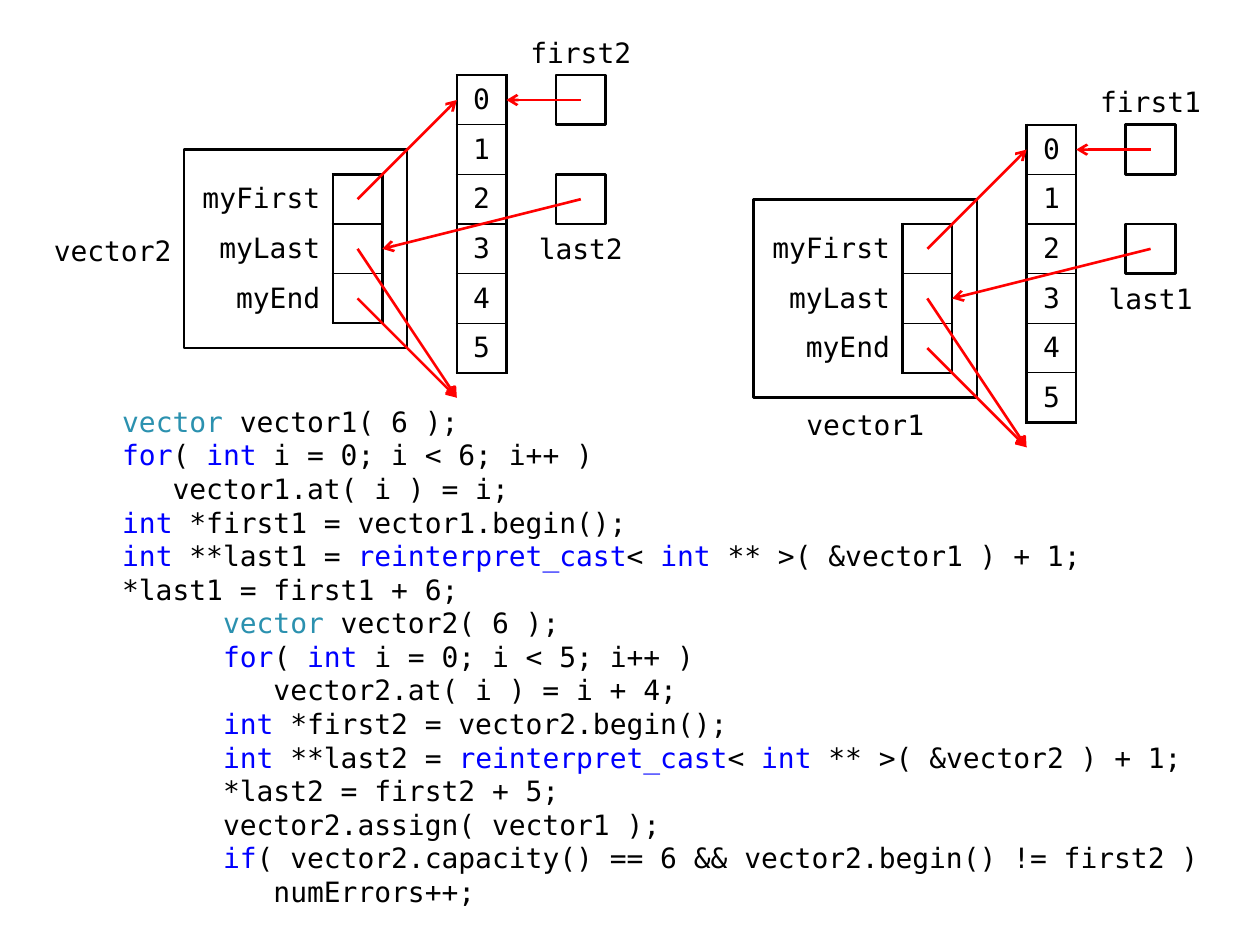
from dataclasses import dataclass
from itertools import groupby

from lxml import etree
from pptx import Presentation
from pptx import util as u
from pptx.dml.color import RGBColor
from pptx.enum import shapes, text
from pptx.oxml import ns

BLACK = RGBColor(0x00, 0x00, 0x00)
WHITE = RGBColor(0xFF, 0xFF, 0xFF)
RED = RGBColor(0xFF, 0x00, 0x00)
BLUE = RGBColor(0x00, 0x00, 0xFF)
TEAL = RGBColor(0x2B, 0x91, 0xAF)
TOKEN_COLORS = {"vector": TEAL} | dict.fromkeys(("for", "int", "reinterpret_cast", "if"), BLUE)

FONT = "DejaVu Sans Mono"
FONT_SIZE = 16
CELL = 28.35
THICK = 1.5
THIN = 0.75
PLAIN_TABLE_STYLE = "{2D5ABB26-0587-4C30-8999-92F81FD0307C}"
CENTER = text.PP_ALIGN.CENTER
RIGHT = text.PP_ALIGN.RIGHT
BOTTOM = text.MSO_ANCHOR.BOTTOM
MIDDLE = text.MSO_ANCHOR.MIDDLE

CODE = """\
   vector vector1( 6 );
   for( int i = 0; i < 6; i++ )
      vector1.at( i ) = i;
   int *first1 = vector1.begin();
   int **last1 = reinterpret_cast< int ** >( &vector1 ) + 1;
   *last1 = first1 + 6;
         vector vector2( 6 );
         for( int i = 0; i < 5; i++ )
            vector2.at( i ) = i + 4;
         int *first2 = vector2.begin();
         int **last2 = reinterpret_cast< int ** >( &vector2 ) + 1;
         *last2 = first2 + 5;
         vector2.assign( vector1 );
         if( vector2.capacity() == 6 && vector2.begin() != first2 )
            numErrors++;"""


@dataclass(frozen=True)
class Label:
    caption: str
    x: float
    y: float
    width: float
    align: int = CENTER
    anchor: int = BOTTOM
    side_margin: float = 7.2


@dataclass(frozen=True)
class Arrow:
    x1: float
    y1: float
    x2: float
    y2: float


@dataclass(frozen=True)
class Diagram:
    left: float
    top: float
    number: int
    name: Label

    def x(self, cells: float) -> u.Length:
        return u.Pt(self.left + cells * CELL)

    def y(self, cells: float) -> u.Length:
        return u.Pt(self.top + cells * CELL)


DIAGRAMS = (
    Diagram(430.7, 113.85, 1, Label("vector1", 0.5, 4, 3.5)),
    Diagram(105.1, 85.5, 2, Label("vector2", -3, 1.5, 3, RIGHT)),
)
ARROWS = (
    Arrow(3.5, 1, 5.5, -1),
    Arrow(3.5, 3, 5.5, 5),
    Arrow(3.5, 2, 5.5, 5),
    Arrow(8, -1, 6.5, -1),
    Arrow(8, 1, 4, 2),
)


def style_font(font, color: RGBColor = BLACK) -> None:
    font.name = FONT
    font.size = u.Pt(FONT_SIZE)
    font.color.rgb = color


def add_code(slide) -> None:
    shape = slide.shapes.add_textbox(u.Pt(33.9), u.Pt(227.5), u.Pt(666), u.Pt(297.5))
    frame = shape.text_frame
    frame.word_wrap = True
    for index, line in enumerate(CODE.splitlines()):
        paragraph = frame.paragraphs[0] if index == 0 else frame.add_paragraph()
        paragraph.line_spacing = u.Pt(19.2)
        tokens = ["".join(group) for _, group in groupby(line, lambda c: c.isalnum() or c == "_")]
        for color, group in groupby(tokens, lambda token: TOKEN_COLORS.get(token, BLACK)):
            run = paragraph.add_run()
            run.text = "".join(group)
            style_font(run.font, color)


def add_box(slide, diagram: Diagram, x: float, y: float, width: float, height: float,
            filled: bool = False) -> None:
    shape = slide.shapes.add_shape(shapes.MSO_SHAPE.RECTANGLE, diagram.x(x), diagram.y(y),
                                   u.Pt(width * CELL), u.Pt(height * CELL))
    shape.shadow.inherit = False
    if filled:
        shape.fill.solid()
        shape.fill.fore_color.rgb = WHITE
    else:
        shape.fill.background()
    shape.line.color.rgb = BLACK
    shape.line.width = u.Pt(THICK)


def add_label(slide, diagram: Diagram, label: Label) -> None:
    shape = slide.shapes.add_textbox(diagram.x(label.x), diagram.y(label.y),
                                     u.Pt(label.width * CELL), u.Pt(CELL))
    frame = shape.text_frame
    frame.word_wrap = True
    frame.vertical_anchor = label.anchor
    frame.margin_left = frame.margin_right = u.Pt(label.side_margin)
    frame.text = label.caption
    paragraph = frame.paragraphs[0]
    paragraph.alignment = label.align
    style_font(paragraph.runs[0].font)


def add_arrow(slide, diagram: Diagram, arrow: Arrow) -> None:
    connector = slide.shapes.add_connector(
        shapes.MSO_CONNECTOR.STRAIGHT, diagram.x(arrow.x1), diagram.y(arrow.y1),
        diagram.x(arrow.x2), diagram.y(arrow.y2))
    connector.line.color.rgb = RED
    connector.line.width = u.Pt(THICK)
    etree.SubElement(connector.line._get_or_add_ln(), ns.qn("a:tailEnd"), type="arrow")
    etree.SubElement(connector._element.spPr, ns.qn("a:effectLst"))


def add_borders(cell, is_first: bool, is_last: bool) -> None:
    properties = cell._tc.get_or_add_tcPr()
    widths = {"L": THICK, "R": THICK, "T": THICK if is_first else THIN,
              "B": THICK if is_last else THIN}
    for side, width in widths.items():
        line = etree.SubElement(properties, ns.qn(f"a:ln{side}"), w=str(u.Pt(width)))
        fill = etree.SubElement(line, ns.qn("a:solidFill"))
        etree.SubElement(fill, ns.qn("a:srgbClr"), val=str(BLACK))


def add_cells(slide, diagram: Diagram, x: float, y: float, rows: list[tuple[str, ...]],
              widths: tuple[float, ...], align: int, margins: tuple[float, float]) -> None:
    frame = slide.shapes.add_table(len(rows), len(widths), diagram.x(x), diagram.y(y),
                                   u.Pt(sum(widths) * CELL), u.Pt(len(rows) * CELL))
    table = frame.table
    table.first_row = table.horz_banding = False
    table._tbl.tblPr.find(ns.qn("a:tableStyleId")).text = PLAIN_TABLE_STYLE
    for column, width in zip(table.columns, widths):
        column.width = u.Pt(width * CELL)
    for row_index, captions in enumerate(rows):
        table.rows[row_index].height = u.Pt(CELL)
        for column_index, caption in enumerate(captions):
            cell = table.cell(row_index, column_index)
            cell.margin_left, cell.margin_right = u.Pt(margins[0]), u.Pt(7.2)
            cell.margin_top = cell.margin_bottom = u.Pt(margins[1])
            cell.vertical_anchor = MIDDLE
            cell.text = caption
            paragraph = cell.text_frame.paragraphs[0]
            paragraph.alignment = align
            style_font(paragraph.font)
            for run in paragraph.runs:
                style_font(run.font)
            if column_index == len(widths) - 1:
                add_borders(cell, row_index == 0, row_index == len(rows) - 1)
            cell.fill.background()


def add_diagram(slide, diagram: Diagram) -> None:
    add_box(slide, diagram, 0, 0, 4.5, 4, filled=True)
    fields = [(field, "") for field in ("myFirst", "myLast", "myEnd")]
    add_cells(slide, diagram, 0, 0.5, fields, (3, 1), RIGHT, (2.88, 2.88))
    elements = [(str(value),) for value in range(6)]
    add_cells(slide, diagram, 5.5, -1.5, elements, (1,), CENTER, (7.2, 0))
    for y in (-1.5, 0.5):
        add_box(slide, diagram, 7.5, y, 1, 1)
    add_label(slide, diagram, diagram.name)
    add_label(slide, diagram, Label(f"first{diagram.number}", 6.5, -2.5, 3))
    add_label(slide, diagram, Label(f"last{diagram.number}", 7, 1.5, 2, CENTER, MIDDLE, 0))
    for arrow in ARROWS:
        add_arrow(slide, diagram, arrow)


def main() -> None:
    presentation = Presentation()
    presentation.slide_width = u.Pt(720)
    presentation.slide_height = u.Pt(540)
    slide = presentation.slides.add_slide(presentation.slide_layouts[6])
    add_code(slide)
    for diagram in DIAGRAMS:
        add_diagram(slide, diagram)
    presentation.save("out.pptx")


if __name__ == "__main__":
    main()
